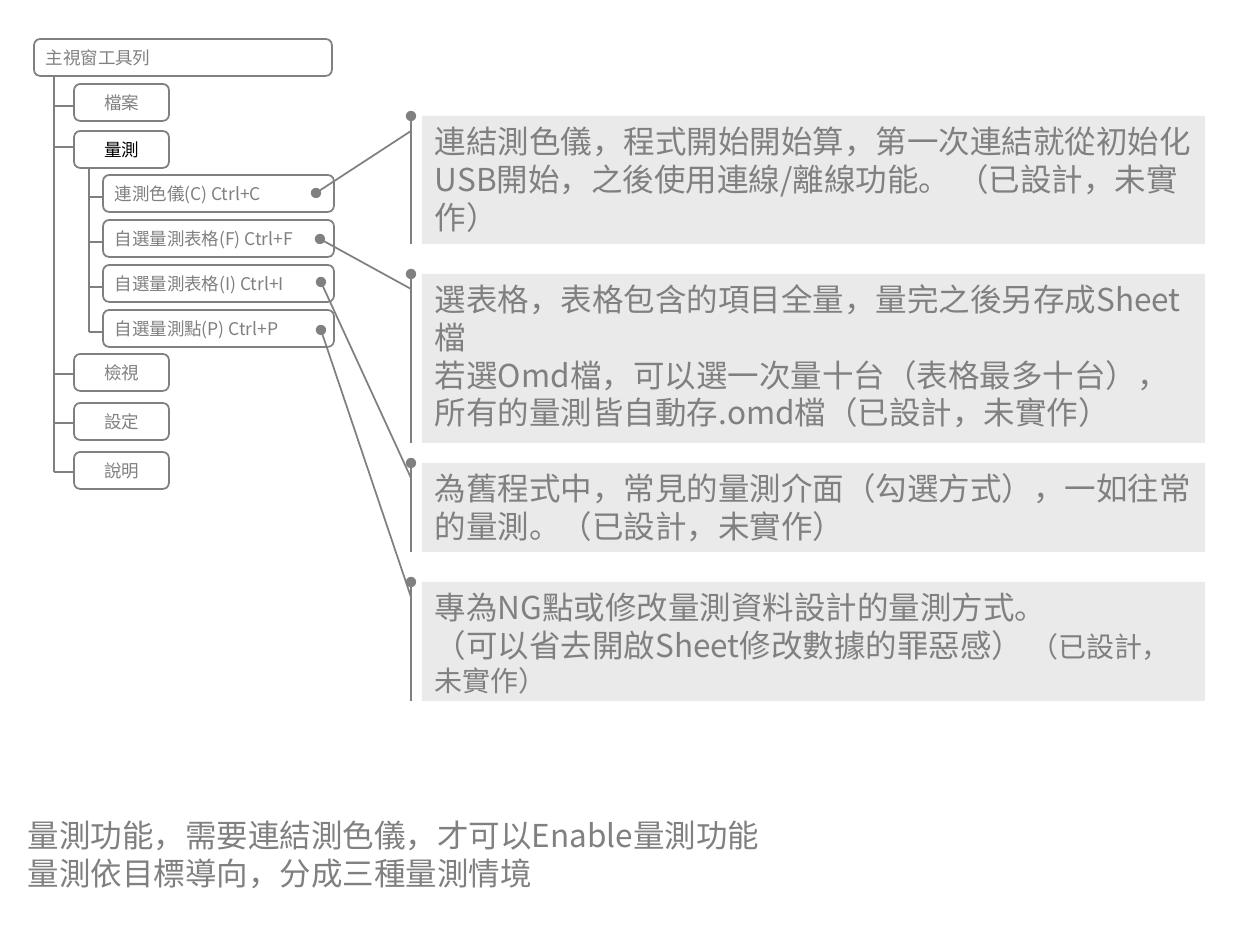
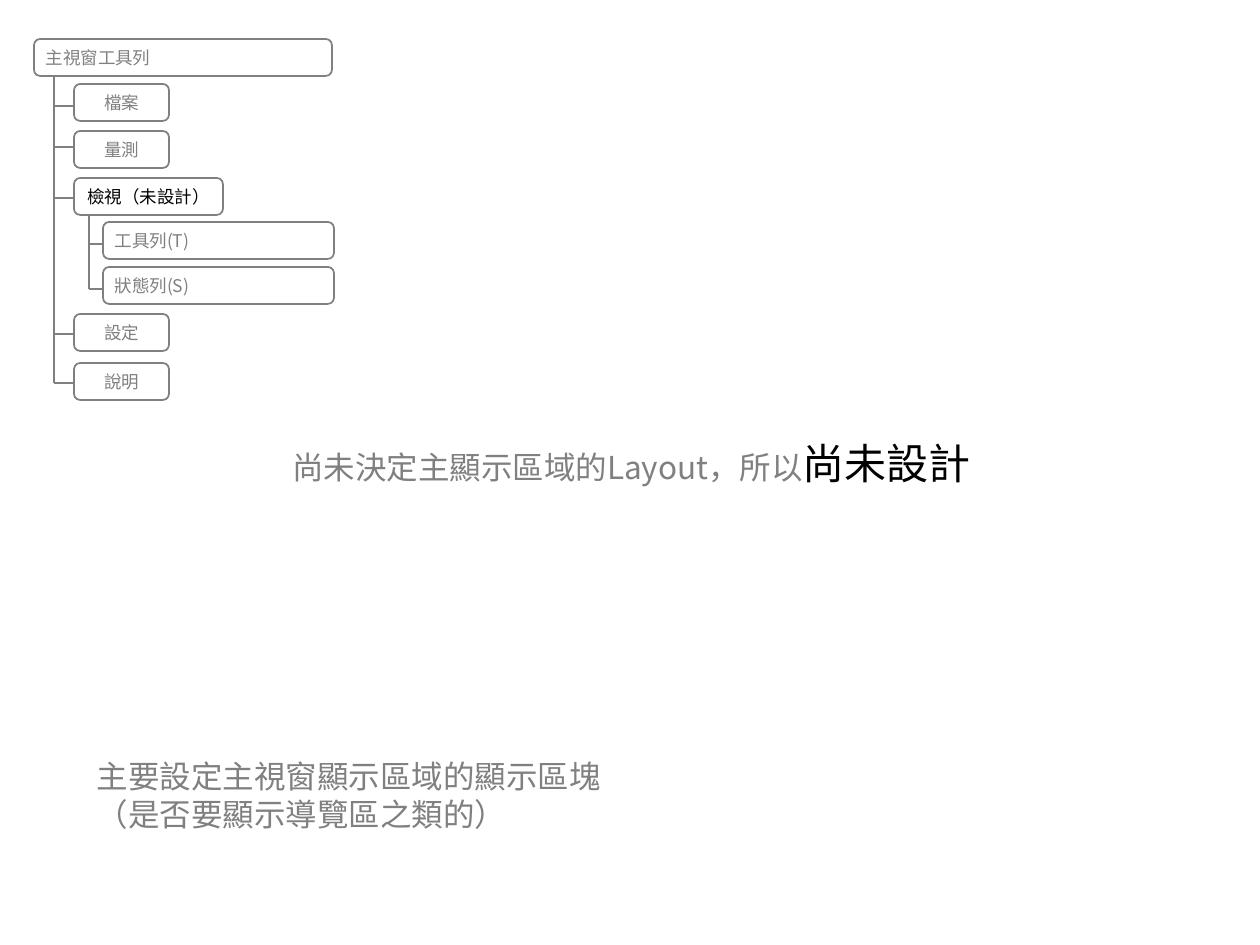
from lxml import etree
from pptx import Presentation
from pptx.dml.color import RGBColor
from pptx.enum.shapes import MSO_CONNECTOR, MSO_SHAPE
from pptx.enum.text import MSO_ANCHOR, PP_ALIGN
from pptx.oxml.ns import qn
from pptx.util import Emu, Pt

PX = 914400 / 126
FONT = "Noto Sans CJK SC"
GREY = RGBColor(0x80, 0x80, 0x80)
BLACK = RGBColor(0, 0, 0)
WHITE = RGBColor(0xFF, 0xFF, 0xFF)
PALE = RGBColor(0xEA, 0xEA, 0xEA)
STRAIGHT = MSO_CONNECTOR.STRAIGHT
RECT, ROUND = MSO_SHAPE.RECTANGLE, MSO_SHAPE.ROUNDED_RECTANGLE
TOP, MIDDLE = MSO_ANCHOR.TOP, MSO_ANCHOR.MIDDLE
LEFT, CENTER = PP_ALIGN.LEFT, PP_ALIGN.CENTER

ITEM_W, ITEM_H = 95, 37
CHILD_W, CHILD_PITCH = 231, 45

MEASURE_MENU = [
    ("檔案", 84, 22, ITEM_W, []),
    ("量測", 131, 16, ITEM_W, ["連測色儀(C) Ctrl+C", "自選量測表格(F) Ctrl+F",
                             "自選量測表格(I) Ctrl+I", "自選量測點(P) Ctrl+P"]),
    ("檢視", 354, 20, ITEM_W, []),
    ("設定", 403, 20, ITEM_W, []),
    ("說明", 452, 20, ITEM_W, []),
]
VIEW_MENU = [
    ("檔案", 84, 22, ITEM_W, []),
    ("量測", 131, 16, ITEM_W, []),
    ("檢視（未設計）", 178, 20, 149, ["工具列(T)", "狀態列(S)"]),
    ("設定", 314, 20, ITEM_W, []),
    ("說明", 363, 20, ITEM_W, []),
]
CALLOUTS = [
    (116, 128, (316, 193), [[("連結測色儀，程式開始開始算，第一次連結就從初始化USB開始，"
                              "之後使用連線/離線功能。 （已設計，未實作）", 18, GREY)]]),
    (274, 169, (320, 239), [[("選表格，表格包含的項目全量，量完之後另存成Sheet檔", 18, GREY)],
                            [("若選Omd檔，可以選一次量十台（表格最多十台），"
                              "所有的量測皆自動存.omd檔（已設計，未實作）", 18, GREY)]]),
    (463, 89, (321, 282), [[("為舊程式中，常見的量測介面（勾選方式），"
                             "一如往常的量測。（已設計，未實作）", 18, GREY)]]),
    (582, 119, (321, 330), [[("專為NG點或修改量測資料設計的量測方式。", 18, GREY)],
                            [("（可以省去開啟Sheet修改數據的罪惡感） ", 18, GREY),
                             ("（已設計，未實作）", 16, GREY)]]),
]


def px(n):
    return Emu(round(n * PX))


def set_font(font, size, color):
    font.size = Pt(size)
    font.name = FONT
    font.color.rgb = color
    latin = font._element.find(qn("a:latin"))
    ea = etree.Element(qn("a:ea"), typeface=FONT)
    latin.addnext(ea)


def write(sp, paragraphs, align=LEFT, anchor=TOP, inset=(13, 6), wrap=True):
    tf = sp.text_frame
    tf.word_wrap = wrap
    tf.vertical_anchor = anchor
    tf.margin_left = tf.margin_right = px(inset[0])
    tf.margin_top = tf.margin_bottom = px(inset[1])
    for i, runs in enumerate(paragraphs):
        p = tf.add_paragraph() if i else tf.paragraphs[0]
        p.alignment = align
        same = len({run[1:] for run in runs}) == 1
        if same:
            set_font(p.font, *runs[0][1:])
        for text, size, color in runs:
            r = p.add_run()
            r.text = text
            if not same:
                set_font(r.font, size, color)


def add_line(s, x1, y1, x2, y2, dot=False):
    c = s.shapes.add_connector(STRAIGHT, px(x1), px(y1), px(x2), px(y2))
    c.line.color.rgb = GREY
    c.line.width = Pt(1)
    if dot:
        etree.SubElement(c.line._get_or_add_ln(), qn("a:headEnd"), type="oval")
    etree.SubElement(c._element.spPr, qn("a:effectLst"))


def add_box(s, kind, x, y, w, h, fill):
    sp = s.shapes.add_shape(kind, px(x), px(y), px(w), px(h))
    sp.shadow.inherit = False
    sp.fill.solid()
    sp.fill.fore_color.rgb = fill
    return sp


def add_menu_box(s, x, y, w, label, color=GREY, align=LEFT):
    sp = add_box(s, ROUND, x, y, w, ITEM_H, WHITE)
    sp.line.color.rgb = GREY
    sp.line.width = Pt(1)
    write(sp, [[(label, 10, color)]], align, MIDDLE, (10, 5))


def add_text(s, x, y, w, h, paragraphs, **style):
    write(s.shapes.add_textbox(px(x), px(y), px(w), px(h)), paragraphs, **style)


def add_children(s, x, y, labels):
    trunk, first = x + 15, y + 44
    stubs = [first + 22 + i * CHILD_PITCH for i in range(len(labels))]
    add_line(s, trunk, y + 20, trunk, stubs[-1])
    for label, stub in zip(labels, stubs):
        add_line(s, trunk, stub, trunk + 29, stub)
        add_menu_box(s, x + 29, stub - 22, CHILD_W, label)


def add_menu_tree(s, x, y, items):
    trunk, item_x = x + 20, x + 40
    last_y, last_stub = items[-1][1:3]
    add_line(s, trunk, y + 16, trunk, last_y + last_stub)
    add_menu_box(s, x, y, 298, "主視窗工具列")
    for label, top, stub, w, children in items:
        if children:
            add_children(s, item_x, top, children)
        add_line(s, trunk, top + stub, trunk + 30, top + stub)
        add_menu_box(s, item_x, top, w, label, BLACK if children else GREY, CENTER)


def add_callout(s, x, y, w, h, pin, paragraphs):
    bar = x - 11
    sp = add_box(s, RECT, x, y, w, h, PALE)
    sp.line.fill.background()
    write(sp, paragraphs)
    add_line(s, *pin, bar, y + 15, dot=True)
    add_line(s, bar, y, bar, y + h, dot=True)


def add_measure_slide(s):
    add_menu_tree(s, 34, 39, MEASURE_MENU)
    add_text(s, 15, 810, 1211, 88, [
        [("量測功能，需要連結測色儀，才可以Enable量測功能", 18, GREY)],
        [("量測依目標導向，分成三種量測情境", 18, GREY)]])
    for y, h, pin, paragraphs in CALLOUTS:
        add_callout(s, 422, y, 783, h, pin, paragraphs)


def add_view_slide(s):
    add_menu_tree(s, 34, 39, VIEW_MENU)
    add_text(s, 284, 438, 695, 52, [
        [("尚未決定主顯示區域的Layout，所以", 18, GREY), ("尚未設計", 24, BLACK)]],
        align=CENTER, inset=(0, 0), wrap=False)
    add_text(s, 84, 751, 1072, 88, [
        [("主要設定主視窗顯示區域的顯示區塊", 18, GREY)],
        [("（是否要顯示導覽區之類的）", 18, GREY)]])


def main():
    prs = Presentation()
    prs.slide_width, prs.slide_height = px(1260), px(945)
    for build in (add_measure_slide, add_view_slide):
        build(prs.slides.add_slide(prs.slide_layouts[6]))
    prs.save("out.pptx")


if __name__ == "__main__":
    main()
